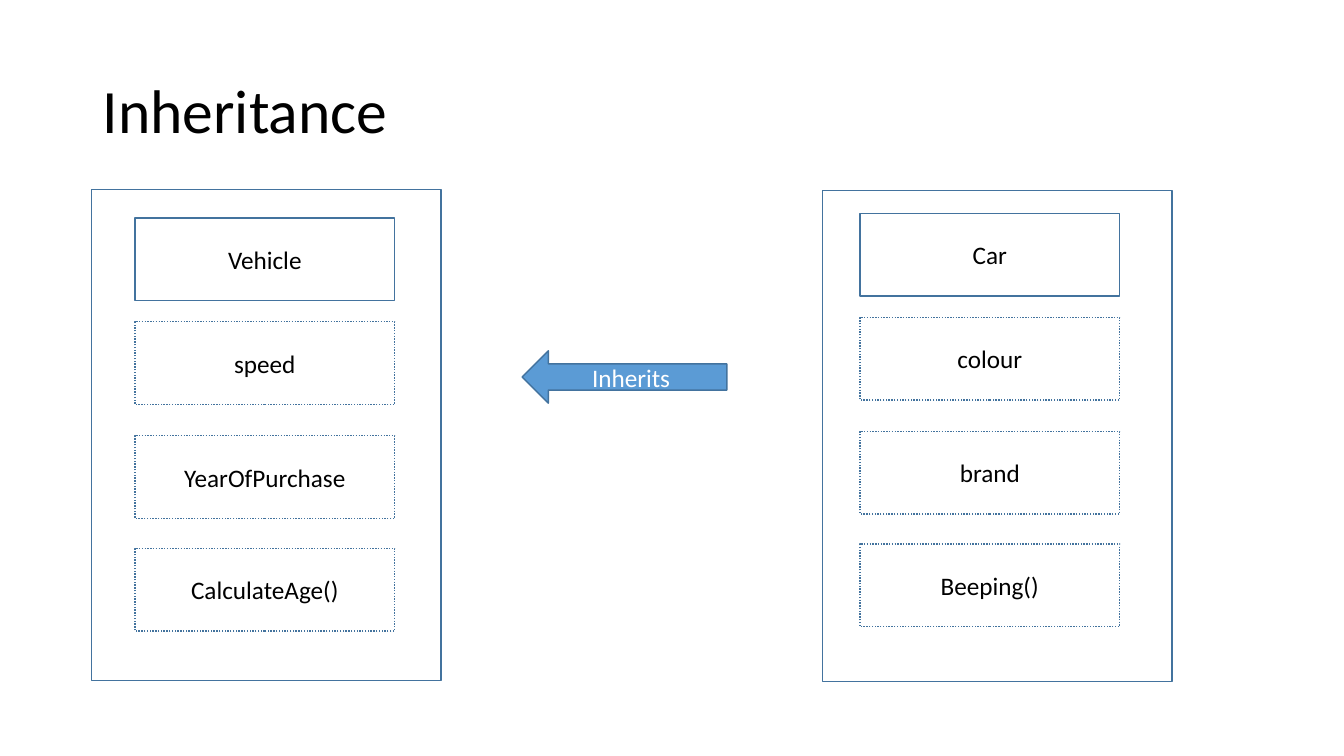
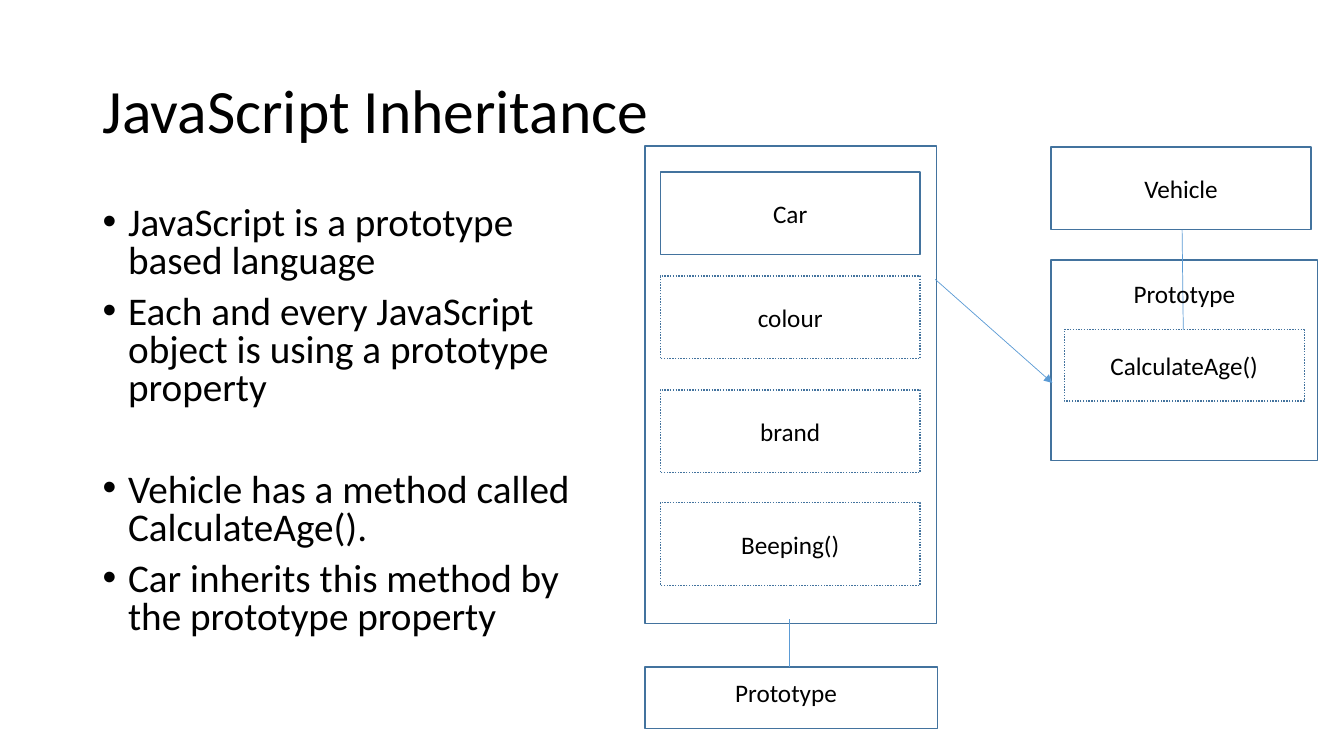
from dataclasses import dataclass

from lxml import etree
from pptx import Presentation
from pptx.dml.color import RGBColor
from pptx.enum import dml, shapes, text as txt
from pptx.oxml import ns
from pptx.util import Cm, Pt

BLACK = RGBColor(0, 0, 0)
WHITE = RGBColor(255, 255, 255)
BLUE = RGBColor(0x5B, 0x9B, 0xD5)
EDGE = RGBColor(0x43, 0x73, 0x9E)
FONT = "Calibri"
CARD_W, CARD_H = 6.55, 2.08
STEPS = (0, 2.62, 5.49, 8.33)
RECT = shapes.MSO_SHAPE.RECTANGLE
ARROW = shapes.MSO_SHAPE.LEFT_ARROW
MID = txt.MSO_ANCHOR.MIDDLE
TOP = txt.MSO_ANCHOR.TOP
LEFT = txt.PP_ALIGN.LEFT
MIDST = txt.PP_ALIGN.CENTER


@dataclass(frozen=True)
class Box:
    x: float
    y: float
    w: float
    h: float

    def span(self) -> tuple:
        return Cm(self.x), Cm(self.y), Cm(self.w), Cm(self.h)


@dataclass(frozen=True)
class Panel:
    frame: Box
    x: float
    y: float
    names: tuple


@dataclass(frozen=True)
class Link:
    x: float
    y: float
    to_x: float
    to_y: float
    head: bool = False


@dataclass(frozen=True)
class Point:
    words: str
    gap: float = 10


def write(frame, words: str, *, size: float = 18, color: RGBColor = BLACK,
          align=MIDST, anchor=MID, line: float = 1, gap: float = 0,
          bullet: bool = False, more: bool = False) -> None:
    frame.word_wrap = True
    frame.vertical_anchor = anchor
    para = frame.add_paragraph() if more else frame.paragraphs[0]
    para.alignment = align
    para.line_spacing = line
    para.space_before = Pt(gap)
    if bullet:
        props = para._p.get_or_add_pPr()
        props.set("marL", str(Cm(0.64)))
        props.set("indent", str(-Cm(0.64)))
        face = etree.SubElement(props, ns.qn("a:buFont"))
        face.set("typeface", "Arial")
        mark = etree.SubElement(props, ns.qn("a:buChar"))
        mark.set("char", "•")
    run = para.add_run()
    run.text = words
    run.font.size = Pt(size)
    run.font.name = FONT
    run.font.color.rgb = color


def label(slide, box: Box, words: str, **style) -> None:
    write(slide.shapes.add_textbox(*box.span()).text_frame, words, **style)


def block(slide, box: Box, words: str = "", *, kind=RECT,
          fill: RGBColor = WHITE, color: RGBColor = BLACK,
          dots: bool = False) -> None:
    shape = slide.shapes.add_shape(kind, *box.span())
    shape.shadow.inherit = False
    shape.fill.solid()
    shape.fill.fore_color.rgb = fill
    shape.line.color.rgb = EDGE
    shape.line.width = Pt(1)
    if dots:
        shape.line.dash_style = dml.MSO_LINE.ROUND_DOT
    if words:
        write(shape.text_frame, words, color=color)


def panel(slide, item: Panel) -> None:
    block(slide, item.frame)
    for row, (step, name) in enumerate(zip(STEPS, item.names)):
        card = Box(item.x, item.y + step, CARD_W, CARD_H)
        block(slide, card, name, dots=row > 0)


def join(slide, link: Link) -> None:
    line = slide.shapes.add_connector(
        shapes.MSO_CONNECTOR.STRAIGHT,
        Cm(link.x), Cm(link.y), Cm(link.to_x), Cm(link.to_y))
    line.line.color.rgb = BLUE
    line.line.width = Pt(0.5)
    if link.head:
        tip = etree.SubElement(line.line._get_or_add_ln(), ns.qn("a:tailEnd"))
        tip.set("type", "triangle")
    etree.SubElement(line._element.spPr, ns.qn("a:effectLst"))


def start(deck, title: str):
    slide = deck.slides.add_slide(deck.slide_layouts[6])
    label(slide, Box(2.34, 1.02, 29.21, 3.68), title,
          size=44, align=LEFT, line=0.9)
    return slide


def basics(deck) -> None:
    slide = start(deck, "Inheritance")
    panel(slide, Panel(Box(20.73, 4.8, 8.81, 12.37), 21.67, 5.38, CAR))
    panel(slide, Panel(Box(2.31, 4.78, 8.81, 12.37), 3.4, 5.49, VEHICLE))
    block(slide, Box(13.16, 8.84, 5.16, 1.32), "Inherits",
          kind=ARROW, fill=BLUE, color=WHITE)


def script(deck) -> None:
    slide = start(deck, "JavaScript Inheritance")
    body = slide.shapes.add_textbox(*Box(2.34, 5.08, 13.18, 11.73).span())
    for row, point in enumerate(POINTS):
        write(body.text_frame, point.words, size=28, align=LEFT, anchor=TOP,
              line=0.8, gap=point.gap, bullet=True, more=row > 0)

    block(slide, Box(26.49, 6.55, 6.71, 5.05))
    block(slide, Box(26.49, 3.71, CARD_W, CARD_H), "Vehicle")
    block(slide, Box(26.82, 8.31, 6.05, 1.8), "CalculateAge()", dots=True)
    panel(slide, Panel(Box(16.26, 3.68, 7.34, 12.04), 16.64, 4.34, CAR))
    block(slide, Box(16.26, 16.81, 7.37, 1.55))
    for link in LINKS:
        join(slide, link)
    for x, y in ((26.04, 6.88), (16, 16.94)):
        label(slide, Box(x, y, 7.62, 1.02), "Prototype", anchor=TOP)


CAR = ("Car", "colour", "brand", "Beeping()")
VEHICLE = ("Vehicle", "speed", "YearOfPurchase", "CalculateAge()")
POINTS = (
    Point("JavaScript is a prototype based language"),
    Point("Each and every JavaScript object is using a prototype property"),
    Point("Vehicle has a method called CalculateAge().", 46),
    Point("Car inherits this method by the prototype property"),
)
LINKS = (
    Link(29.79, 5.79, 29.82, 8.31),
    Link(19.89, 15.6, 19.89, 16.81),
    Link(23.57, 7.04, 26.52, 9.65, True),
)

deck = Presentation()
deck.slide_width, deck.slide_height = Cm(33.87), Cm(19.05)
basics(deck)
script(deck)
deck.save("out.pptx")
